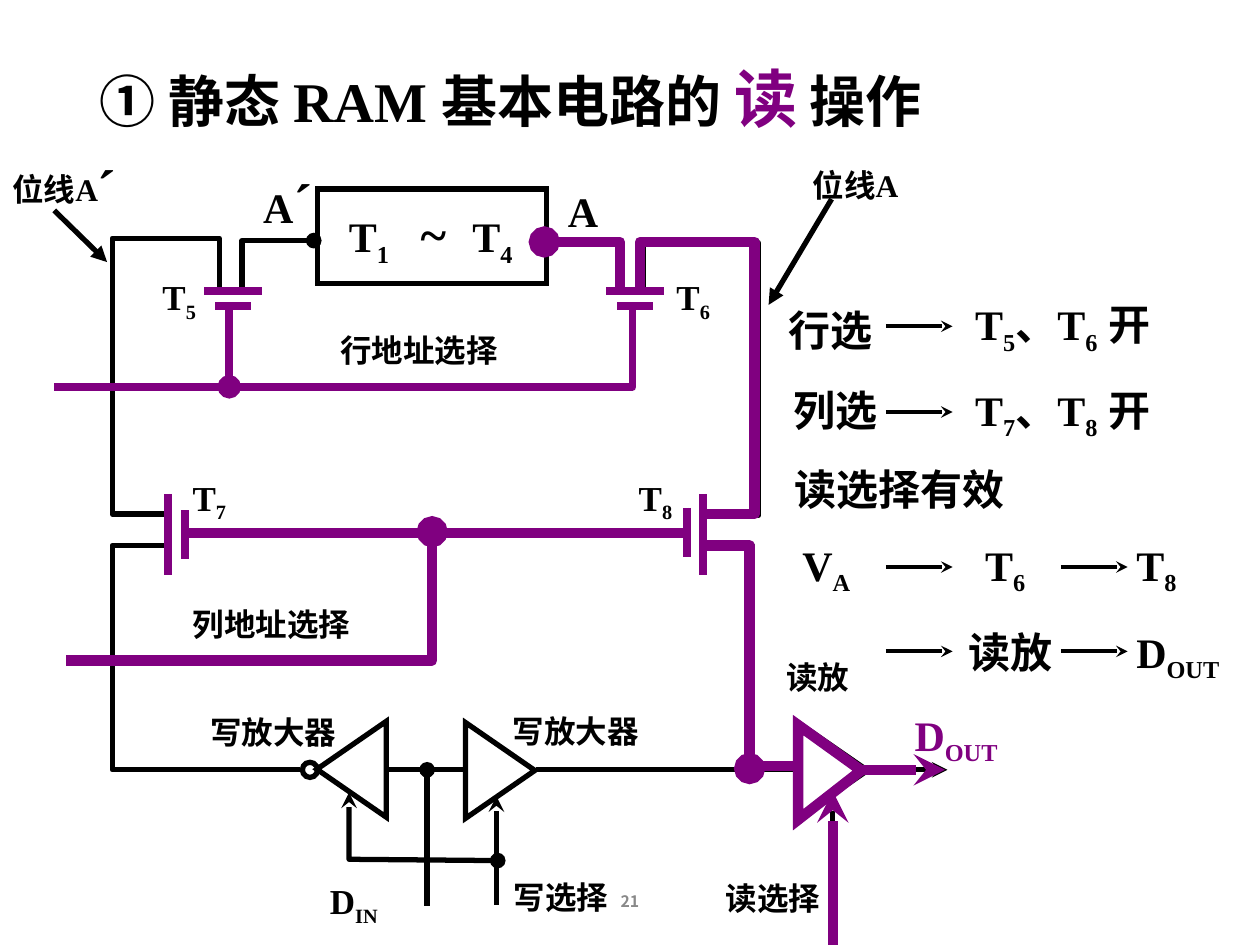
from dataclasses import dataclass, replace

from lxml import etree
from pptx import Presentation, util as u
from pptx.dml.color import RGBColor
from pptx.enum import shapes, text
from pptx.oxml.ns import qn


@dataclass(frozen=True)
class Theme:
    black: str = "000000"
    purple: str = "800080"
    grey: str = "898989"
    latin: str = "Times New Roman"
    cjk: str = "Noto Sans CJK SC"
    title: int = 32
    accent: int = 36
    body: int = 24
    tilde: int = 28
    device: int = 20
    label: int = 18
    number: int = 9
    thin: float = 2.25
    wire: float = 3
    gate: float = 4.5
    read: float = 6


THEME = Theme()


@dataclass(frozen=True)
class Run:
    words: str
    size: int = THEME.body
    color: str = THEME.black
    lowered: bool = False
    tracking: int = 0  # hundredths of a point
    latin: str = THEME.latin


@dataclass(frozen=True)
class Label:
    left: float
    top: float
    width: float
    height: float
    runs: list
    wrap: bool = False
    inset: float = 0.1
    centered: bool = False


@dataclass(frozen=True)
class Wire:
    points: list
    weight: float = THEME.wire
    color: str = THEME.black
    head: str = ""
    tail: str = ""


@dataclass(frozen=True)
class Outline:
    kind: int
    left: float
    top: float
    width: float
    height: float
    turn: int = 0
    weight: float = THEME.wire
    color: str = THEME.black
    apex: float = 0.5


def sub(base: str, index: str, size: int = THEME.body, color: str = THEME.black) -> list:
    """A symbol followed by its lowered index."""
    return [Run(base, size, color), Run(index, size, color, lowered=True)]


def add_run(paragraph, item: Run) -> None:
    run = paragraph.add_run()
    run.text = item.words
    run.font.size, run.font.bold = u.Pt(item.size), True
    run.font.name = item.latin
    run.font.color.rgb = RGBColor.from_string(item.color)
    props = run._r.get_or_add_rPr()
    etree.SubElement(props, qn("a:ea")).set("typeface", THEME.cjk)
    if item.lowered:
        props.set("baseline", "-25000")
    if item.tracking:
        props.set("spc", str(item.tracking))


def draw_label(slide, item: Label) -> None:
    box = slide.shapes.add_textbox(*map(u.Inches, (item.left, item.top, item.width, item.height)))
    frame = box.text_frame
    frame.word_wrap = item.wrap
    frame.margin_left = frame.margin_right = u.Inches(item.inset)
    paragraph = frame.paragraphs[0]
    if item.centered:
        frame.vertical_anchor = text.MSO_ANCHOR.MIDDLE
        paragraph.alignment = text.PP_ALIGN.CENTER
    for run in item.runs:
        add_run(paragraph, run)


def style_line(shape, item, join: str):
    shape.line.width = u.Pt(item.weight)
    shape.line.color.rgb = RGBColor.from_string(item.color)
    line = shape.line._get_or_add_ln()
    etree.SubElement(line, qn(f"a:{join}"))
    return line


def draw_wire(slide, item: Wire) -> None:
    points = [(u.Inches(x), u.Inches(y)) for x, y in item.points]
    if len(points) == 2:
        wire = slide.shapes.add_connector(shapes.MSO_CONNECTOR.STRAIGHT, *points[0], *points[1])
    else:
        builder = slide.shapes.build_freeform(*points[0])
        builder.add_line_segments(points[1:], close=False)
        wire = builder.convert_to_shape()
        wire.fill.background()
    line = style_line(wire, item, "round")
    for end, kind in (("headEnd", item.head), ("tailEnd", item.tail)):
        if kind:
            etree.SubElement(line, qn(f"a:{end}")).set("type", kind)
    etree.SubElement(wire._element.spPr, qn("a:effectLst"))


def draw_outline(slide, item: Outline) -> None:
    shape = slide.shapes.add_shape(
        item.kind, *map(u.Inches, (item.left, item.top, item.width, item.height)))
    shape.rotation = item.turn
    if item.apex != 0.5:
        shape.adjustments[0] = item.apex
    shape.fill.background()
    style_line(shape, item, "miter")
    shape.shadow.inherit = False


def draw_title(slide) -> None:
    title = slide.shapes.title
    title.left, title.top, title.width, title.height = map(u.Inches, (0.69, 0.42, 7.56, 0.7))
    frame = title.text_frame
    frame.auto_size = text.MSO_AUTO_SIZE.NONE
    frame.vertical_anchor = text.MSO_ANCHOR.TOP
    paragraph = frame.paragraphs[0]
    paragraph.alignment = text.PP_ALIGN.LEFT
    for run in (Run("① 静态 RAM 基本电路的 ", THEME.title), Run("读", THEME.accent, THEME.purple),
                Run(" ", THEME.title), Run("操作", THEME.title)):
        add_run(paragraph, run)


# Transistor plates: T5 and T6 lie flat, T7 and T8 stand upright
PLATES = [Wire([(x - half, y), (x + half, y)])
          for x in (1.85, 5.04) for half, y in ((0.23, 2.31), (0.14, 2.43))]
PLATES += [Wire([(x, top), (x, bottom)]) for x, top, bottom in (
    (1.33, 3.92, 4.56), (1.47, 4.05, 4.44), (5.58, 3.92, 4.56), (5.45, 4.03, 4.42))]

# Row select line with its T5 branch
ROW_SELECT = [Wire([(5.02, 2.43), (5.02, 3.07), (0.43, 3.07)]),
              Wire([(1.82, 2.43), (1.82, 3.07)], tail="oval")]

CIRCUIT = PLATES + ROW_SELECT + [
    # Cell to T5 and T6
    Wire([(4.34, 1.93), (4.93, 1.93), (4.93, 2.3)], head="oval"),
    Wire([(2.49, 1.91), (1.92, 1.91), (1.92, 2.31)], head="oval"),
    # Bit lines
    Wire([(1.74, 2.3), (1.74, 1.89), (0.89, 1.89), (0.89, 4.08), (1.34, 4.08)]),
    Wire([(5.11, 2.31), (5.11, 1.93), (6.02, 1.93), (6.02, 4.09), (5.59, 4.09)]),
    Wire([(1.34, 4.33), (0.89, 4.33), (0.89, 6.11), (2.38, 6.11)]),
    Wire([(5.61, 4.33), (5.97, 4.33), (5.97, 6.11)], tail="oval"),
    # Column select
    Wire([(1.49, 4.21), (5.44, 4.21)]),
    Wire([(3.43, 4.21), (3.43, 5.22), (0.52, 5.22)], head="oval"),
    # Amplifier inputs and outputs
    Wire([(4.25, 6.11), (6.34, 6.11)]),
    Wire([(3.07, 6.11), (3.7, 6.11)]),
    Wire([(6.88, 6.11), (7.52, 6.11)], tail="stealth"),
    Wire([(3.39, 6.11), (3.39, 7.19)], head="oval"),
    Wire([(3.94, 7.18), (3.94, 6.32)], tail="stealth"),
    Wire([(2.77, 6.29), (2.77, 6.82), (3.95, 6.83)], head="stealth", tail="oval"),
    Wire([(6.61, 7.59), (6.61, 6.32)], tail="stealth"),
    # Bit line pointers
    Wire([(6.6, 1.58), (6.1, 2.42)], tail="triangle"),
    Wire([(0.43, 1.67), (0.85, 2.08)], tail="triangle"),
]

READ_PATH = [replace(w, weight=THEME.gate, color=THEME.purple) for w in PLATES + ROW_SELECT]
READ_PATH += [Wire(points, THEME.read, THEME.purple, head, tail) for points, head, tail in (
    ([(3.43, 4.22), (3.43, 5.24), (0.52, 5.24)], "oval", ""),
    ([(1.46, 4.23), (5.44, 4.23)], "", ""),
    ([(4.32, 1.92), (4.92, 1.92), (4.92, 2.3)], "oval", ""),
    ([(5.08, 2.29), (5.08, 1.92), (5.99, 1.92), (5.99, 4.08), (5.57, 4.08)], "", ""),
    ([(5.58, 4.33), (5.95, 4.33), (5.95, 6.1)], "", "oval"),
    ([(5.96, 6.08), (6.35, 6.08)], "", ""),
    ([(6.61, 7.52), (6.61, 6.28)], "", "stealth"),
    ([(6.81, 6.11), (7.5, 6.11)], "", "stealth"),
)]

STEP_ARROWS = [Wire([(x, y), (x + 0.53, y)], THEME.thin, tail="stealth") for x, y in (
    (7.03, 2.59), (7.03, 3.27), (7.03, 4.5), (8.42, 4.5), (7.03, 5.17), (8.42, 5.17))]

TRIANGLE = shapes.MSO_SHAPE.ISOSCELES_TRIANGLE
OUTLINES = [
    Outline(shapes.MSO_SHAPE.RECTANGLE, 2.52, 1.5, 1.82, 0.75),
    Outline(TRIANGLE, 3.59, 5.84, 0.76, 0.55, 90),
    Outline(TRIANGLE, 2.41, 5.83, 0.76, 0.55, 270),
    Outline(shapes.MSO_SHAPE.OVAL, 2.4, 6.05, 0.12, 0.12),
    Outline(TRIANGLE, 6.23, 5.84, 0.76, 0.55, 90),
    Outline(TRIANGLE, 6.21, 5.88, 0.75, 0.5, 90, THEME.read, THEME.purple, 0.48),
]

# Circuit labels
LABELS = [
    Label(1.99, 1.28, 0.66, 0.63, [Run("A"), Run("´", THEME.title)]),
    Label(4.41, 1.42, 0.44, 0.5, [Run("A")]),
    Label(2.67, 1.57, 1.98, 0.57, sub("T", "1") + [
        Run(" ", THEME.tilde, tracking=1100), Run("~ ", THEME.tilde, tracking=400),
        *sub("T", "4")], wrap=True),
    Label(0.67, 1.17, 0.42, 0.63, [Run("´", THEME.title)]),
    Label(2.52, 6.93, 0.6, 0.43, sub("D", "IN", THEME.device)),
    Label(7.16, 5.58, 0.92, 0.5, sub("D", "OUT", color=THEME.purple)),
    Label(3.31, 6.95, 3.38, 0.4, [Run("21", THEME.number, THEME.grey, latin=THEME.cjk)],
          wrap=True, centered=True),
]
LABELS += [Label(x, y, 0.48, 0.43, sub("T", index, THEME.device)) for x, y, index in (
    (1.19, 2.14, "5"), (5.27, 2.14, "6"), (1.43, 3.73, "7"), (4.97, 3.73, "8"))]
LABELS += [Label(x, y, 0.2 + 0.25 * len(words), 0.4, [Run(words, THEME.label)])
           for x, y, words in (
               (1.57, 5.61, "写放大器"), (3.97, 5.6, "写放大器"), (3.98, 6.92, "写选择"),
               (5.66, 6.93, "读选择"), (6.14, 5.17, "读放"),
               (1.43, 4.75, "列地址选择"), (2.6, 2.58, "行地址选择"))]
LABELS += [Label(x, y, 0.88, 0.4, [Run("位线A", THEME.label)], wrap=True)
           for x, y in ((6.35, 1.27), (0, 1.3))]

# Steps of the read operation
LABELS += [Label(x, y, width, 0.5, [Run(words)], wrap=True, inset=0.02)
           for x, y, width, words in (
               (6.24, 2.37, 0.83, "行选"), (6.28, 3, 0.83, "列选"), (7.67, 4.92, 0.92, "读放"))]
LABELS += [Label(7.72, y, 1.93, 0.5, sub("T", first) + sub("、T", second) + [Run(" 开")],
                 wrap=True, inset=0.02)
           for y, first, second in ((2.32, "5", "6"), (3, "7", "8"))]
LABELS += [Label(x, y, 1.5, 0.5, sub(base, index), wrap=True) for x, y, base, index in (
    (6.27, 4.23, "V", "A"), (7.72, 4.23, "T", "6"), (8.92, 4.23, "T", "8"),
    (8.92, 4.92, "D", "OUT"))]
LABELS.append(Label(6.21, 3.63, 2.91, 0.5, [Run("读选择有效")], wrap=True))


def main() -> None:
    deck = Presentation()
    deck.slide_width, deck.slide_height = u.Inches(10), u.Inches(7.5)
    slide = deck.slides.add_slide(deck.slide_layouts[5])
    draw_title(slide)
    for wire in CIRCUIT:
        draw_wire(slide, wire)
    for outline in OUTLINES:
        draw_outline(slide, outline)
    for wire in READ_PATH + STEP_ARROWS:
        draw_wire(slide, wire)
    for label in LABELS:
        draw_label(slide, label)
    deck.save("out.pptx")


if __name__ == "__main__":
    main()
